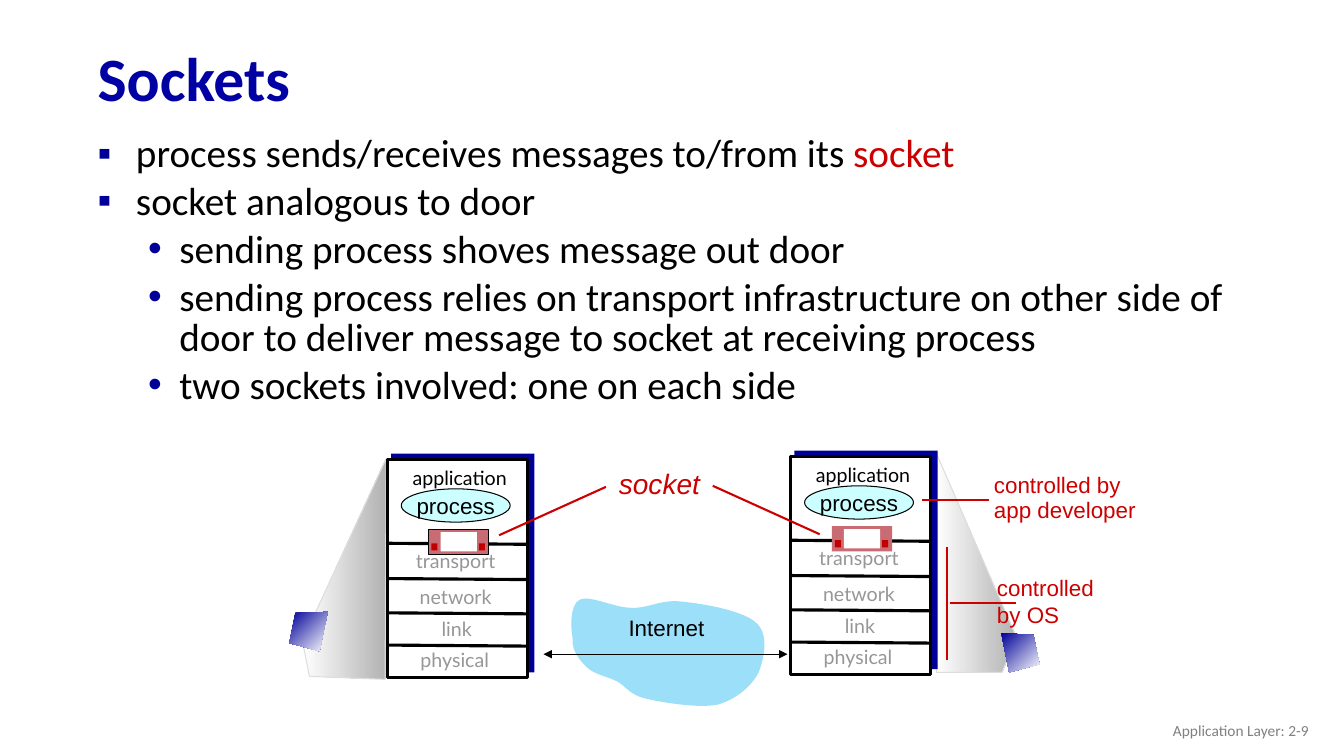
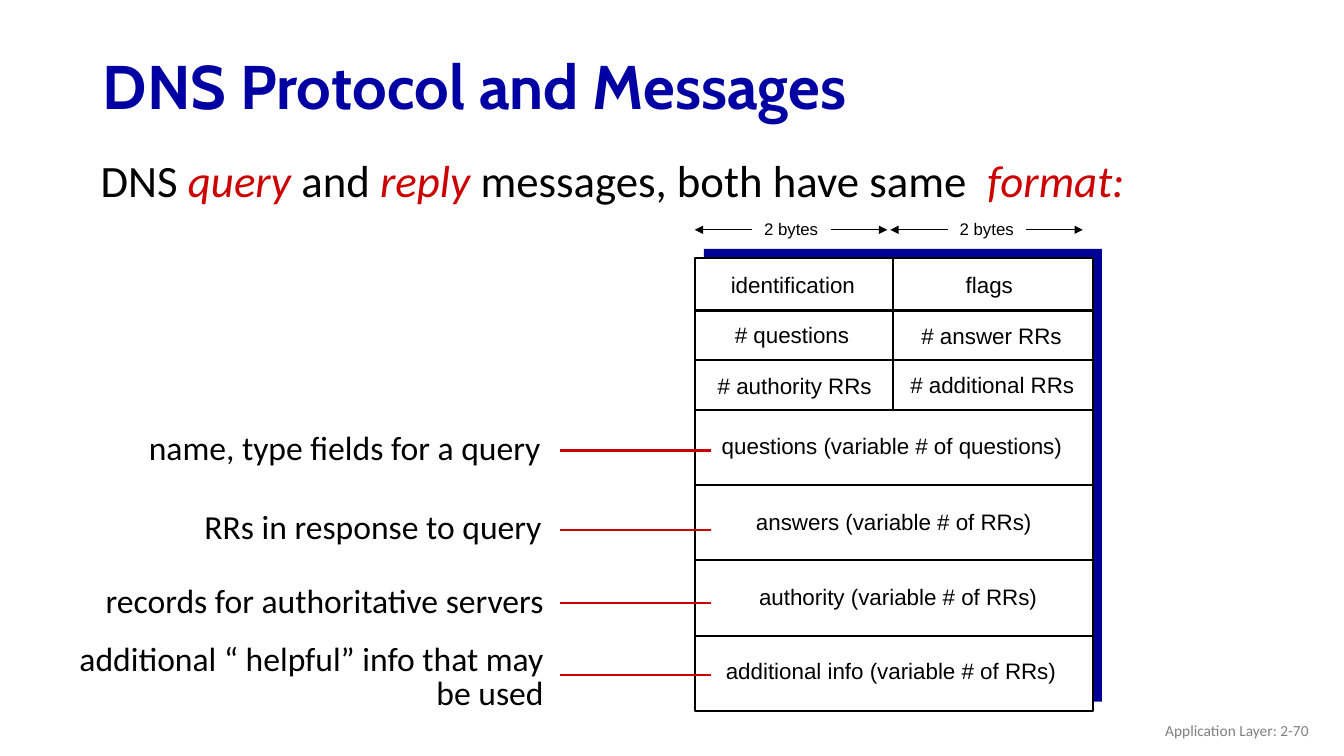
import dataclasses
import typing

import lxml.etree
import pptx
import pptx.dml.color
import pptx.enum.shapes
import pptx.enum.text
import pptx.oxml.ns
import pptx.util

Inches, Pt = pptx.util.Inches, pptx.util.Pt
ALIGN = pptx.enum.text.PP_ALIGN
ANCHOR = pptx.enum.text.MSO_ANCHOR
SHAPE = pptx.enum.shapes.MSO_SHAPE
qn = pptx.oxml.ns.qn

TITLE_BLUE, NAVY, RED = "0000A3", "000099", "CC0000"
BLACK, WHITE, GRAY, LAYER_GRAY = "000000", "FFFFFF", "808080", "969696"

Point = tuple[float, float]
Box = tuple[float, float, float, float]


@dataclasses.dataclass
class Run:
    text: str
    color: str | None = None
    italic: bool = False


@dataclasses.dataclass
class Host:
    x: float
    y: float
    socket_line: str | None


@dataclasses.dataclass
class Layer:
    name: str
    dx: float
    dy: float
    color: str = LAYER_GRAY


@dataclasses.dataclass
class Field:
    text: str
    x: float
    y: float
    width: float


@dataclasses.dataclass
class Note:
    text: str
    box: Box
    line_y: float


LAYERS = [
    Layer("application", 0, -0.01, BLACK),
    Layer("transport", -0.04, 0.81),
    Layer("network", -0.04, 1.17),
    Layer("link", -0.03, 1.49),
    Layer("physical", -0.05, 1.8),
]
LAYER_TOPS = [0.83, 1.18, 1.52, 1.84]

HOSTS = [Host(3.84, 4.56, BLACK), Host(7.84, 4.53, None)]

BULLETS = [
    (0, ["process sends/receives messages to/from its ", Run("socket", RED)]),
    (0, "socket analogous to door"),
    (1, "sending process shoves message out door"),
    (1, "sending process relies on transport infrastructure on other side of "
        "door to deliver message to socket at receiving process"),
    (1, "two sockets involved: one on each side"),
]

# The start, then two control points and an end point for each curve.
CLOUD = [
    (5.68, 6.34),
    (5.66, 6.23), (5.65, 6.0), (5.75, 5.95),
    (5.85, 5.9), (6.09, 6.03), (6.26, 6.03),
    (6.43, 6.04), (6.56, 5.94), (6.77, 5.97),
    (6.98, 5.99), (7.38, 6.06), (7.5, 6.18),
    (7.63, 6.29), (7.58, 6.54), (7.52, 6.68),
    (7.45, 6.81), (7.3, 6.94), (7.12, 6.99),
    (6.93, 7.03), (6.57, 6.97), (6.4, 6.93),
    (6.24, 6.89), (6.21, 6.81), (6.12, 6.76),
    (6.02, 6.71), (5.89, 6.69), (5.82, 6.62),
    (5.75, 6.55), (5.67, 6.46), (5.68, 6.34),
]

FIELD_TOPS = [3.08, 3.57, 4.07, 4.81, 5.56, 6.31]
FIELDS = [
    Field("identification", 7.15, 2.64, 1.43),
    Field("flags", 9.48, 2.64, 0.67),
    Field("# questions", 7.19, 3.14, 1.34),
    Field("# answer RRs", 9.04, 3.15, 1.6),
    Field("# authority RRs", 7.02, 3.64, 1.73),
    Field("# additional RRs", 8.93, 3.63, 1.83),
    Field("questions (variable # of questions)", 7.06, 4.24, 3.59),
    Field("answers (variable # of RRs)", 7.4, 4.99, 2.94),
    Field("authority (variable # of RRs)", 7.43, 5.74, 2.97),
    Field("additional info (variable # of RRs)", 7.1, 6.47, 3.48),
]

NOTES = [
    Note("name, type fields for a query", (1.12, 4.24, 4.34, 0.45), 4.47),
    Note("RRs in response to query", (1.09, 5.03, 4.38, 0.45), 5.26),
    Note("records for authoritative servers", (0.24, 5.76, 5.25, 0.45), 5.98),
    Note("additional “ helpful” info that may be used", (0.44, 6.33, 5.05, 0.79), 6.7),
]


def rgb(color: str) -> pptx.dml.color.RGBColor:
    return pptx.dml.color.RGBColor.from_string(color)


def write(tf, *paras, size: float, font: str = "Calibri", color: str = BLACK,
          bold: bool = False, italic: bool = False, align=ALIGN.LEFT,
          spacing: float = 1.0, before: float = 0, anchor=ANCHOR.TOP, wrap: bool = True):
    """Fill a text frame; a paragraph is a string or a list of strings and Runs."""
    tf.word_wrap, tf.vertical_anchor = wrap, anchor
    for i, para in enumerate(paras):
        p = tf.add_paragraph() if i else tf.paragraphs[0]
        p.alignment, p.line_spacing, p.space_before = align, spacing, Pt(before)
        for part in [para] if isinstance(para, str) else para:
            run = Run(part) if isinstance(part, str) else part
            r = p.add_run()
            r.text = run.text
            r.font.name, r.font.size, r.font.bold = font, Pt(size), bold
            r.font.italic = italic or run.italic
            r.font.color.rgb = rgb(run.color or color)
    return tf


def add_text(sl, box: Box, *paras, **fmt):
    return write(sl.shapes.add_textbox(*map(Inches, box)).text_frame, *paras, **fmt)


def add_bullet(p, level: int) -> None:
    p.level = level
    pPr = p._p.get_or_add_pPr()
    left, hang = [(0.38, 0.38), (0.81, 0.31)][level]
    pPr.set("marL", str(Inches(left)))
    pPr.set("indent", str(-Inches(hang)))
    clr = lxml.etree.SubElement(pPr, qn("a:buClr"))
    lxml.etree.SubElement(clr, qn("a:srgbClr"), val=NAVY)
    lxml.etree.SubElement(pPr, qn("a:buFont"), typeface="Arial")
    lxml.etree.SubElement(pPr, qn("a:buChar"), char="▪•"[level])


def outline(s, color: str | None, width: float) -> None:
    if color:
        s.line.color.rgb, s.line.width = rgb(color), Pt(width)
    else:
        s.line.fill.background()


def add_shape(sl, box: Box, fill: str, line: str | None = None, width: float = 0.75,
              kind=SHAPE.RECTANGLE):
    s = sl.shapes.add_shape(kind, *map(Inches, box))
    s.shadow.inherit = False
    s.fill.solid()
    s.fill.fore_color.rgb = rgb(fill)
    outline(s, line, width)
    return s


def add_outline(sl, points: typing.Sequence[Point], fill: str, fill_end: str | None = None,
                angle: float = 0, line: str | None = None):
    """Draw a closed polygon, with a gradient when fill_end is given."""
    start, *rest = [(Inches(x), Inches(y)) for x, y in points]
    s = sl.shapes.build_freeform(*start).add_line_segments(rest).convert_to_shape()
    s.shadow.inherit = False
    if fill_end:
        s.fill.gradient()
        s.fill.gradient_angle = angle
        for stop, color, position in zip(s.fill.gradient_stops, (fill, fill_end), (0, 1)):
            stop.color.rgb, stop.position = rgb(color), position
    else:
        s.fill.solid()
        s.fill.fore_color.rgb = rgb(fill)
    outline(s, line, 0.75)
    return s


def bend_segments(s) -> None:
    """Turn each three line segments of a freeform into one cubic curve."""
    segments = list(s._element.iter(qn("a:lnTo")))
    for i in range(0, len(segments) - 2, 3):
        curve = lxml.etree.Element(qn("a:cubicBezTo"))
        segments[i].addprevious(curve)
        for segment in segments[i:i + 3]:
            curve.append(segment[0])
            segment.getparent().remove(segment)


def add_line(sl, start: Point, end: Point, color: str = RED, width: float = 1.5,
             arrows: typing.Sequence[str] = ()) -> None:
    """Draw a straight line; arrows lists headEnd and/or tailEnd."""
    c = sl.shapes.add_connector(pptx.enum.shapes.MSO_CONNECTOR.STRAIGHT,
                                *map(Inches, (*start, *end)))
    outline(c, color, width)
    spPr = c._element.spPr
    for arrow in arrows:
        lxml.etree.SubElement(spPr.find(qn("a:ln")), qn(f"a:{arrow}"), type="triangle")
    lxml.etree.SubElement(spPr, qn("a:effectLst"))


def add_slide(prs, title: str, number: int, title_at: Point, font: str):
    sl = prs.slides.add_slide(prs.slide_layouts[6])
    add_text(sl, (*title_at, 11.5, 0.98), title, size=44, font=font, color=TITLE_BLUE,
             bold=True, spacing=0.9, anchor=ANCHOR.MIDDLE)
    add_text(sl, (10.08, 7.05, 3, 0.4), f"Application Layer: 2-{number}", size=11,
             color=GRAY, align=ALIGN.RIGHT, anchor=ANCHOR.MIDDLE)
    return sl


def draw_host(sl, host: Host) -> None:
    x, y = host.x, host.y
    add_shape(sl, (x + 0.04, y - 0.06, 1.42, 2.17), NAVY)
    add_shape(sl, (x, y, 1.39, 2.16), WHITE, BLACK, 2.25)
    for dy in LAYER_TOPS:
        add_line(sl, (x + 0.01, y + dy), (x + 1.39, y + dy + 0.01), BLACK, 2.25)
    for layer in LAYERS:
        add_text(sl, (x + layer.dx, y + layer.dy, 1.44, 0.36), layer.name, size=14,
                 font="Lato", color=layer.color, align=ALIGN.CENTER, spacing=1.1)
    s = add_shape(sl, (x + 0.14, y + 0.29, 1.08, 0.33), "CCFFFF", BLACK, kind=SHAPE.OVAL)
    write(s.text_frame, "process", size=16, font="Arial", align=ALIGN.CENTER,
          anchor=ANCHOR.MIDDLE, wrap=False)
    add_shape(sl, (x + 0.41, y + 0.69, 0.6, 0.25), "C96B72", host.socket_line)
    add_shape(sl, (x + 0.53, y + 0.72, 0.36, 0.19), WHITE)
    for dx in (0.44, 0.91):
        add_shape(sl, (x + dx, y + 0.83, 0.06, 0.07), "C00000")


def sockets_slide(prs) -> None:
    sl = add_slide(prs, "Sockets", 9, (0.87, 0.32), "Calibri")
    tf = add_text(sl, (0.87, 1.3, 11.99, 2.55), *(text for _, text in BULLETS),
                  size=28, spacing=0.85, before=5.6)
    for p, (level, _) in zip(tf.paragraphs, BULLETS):
        add_bullet(p, level)

    for beam in ([(10.08, 6.32), (9.28, 4.48), (9.29, 6.67), (9.94, 6.67)],
                 [(3, 6.36), (3.83, 4.55), (3.82, 6.74), (3.07, 6.71)]):
        add_outline(sl, beam, WHITE, "B2B2B2", line="DDDDDD")
    bend_segments(add_outline(sl, CLOUD, "9CDFF9"))
    add_text(sl, (6.13, 6.04, 0.96, 0.37), "Internet", size=16, font="Arial",
             align=ALIGN.CENTER, wrap=False)
    add_line(sl, (5.39, 6.49), (7.81, 6.49), BLACK, 0.75, ("headEnd", "tailEnd"))
    for host in HOSTS:
        draw_host(sl, host)

    label = dict(font="Arial", color=RED, wrap=False)
    add_text(sl, (9.79, 5.65, 1.16, 0.9), "controlled", "by OS", size=16, **label)
    add_text(sl, (9.76, 4.66, 1.61, 0.58), "controlled by", "app developer", size=16,
             spacing=0.9, **label)
    add_text(sl, (6.04, 4.62, 1.1, 0.4), "socket", size=20, italic=True, spacing=0.9, **label)
    for start, end in [((9.81, 4.96), (9.14, 4.96)), ((9.39, 5.43), (9.39, 6.55)),
                       ((10.08, 5.98), (9.42, 5.98)), ((4.95, 5.31), (6.01, 4.83)),
                       ((8.13, 5.3), (7.07, 4.82))]:
        add_line(sl, start, end)
    for device in ([(3.25, 6.07), (2.93, 6.08), (2.87, 6.38), (3.17, 6.46)],
                   [(9.93, 6.28), (10.25, 6.3), (10.31, 6.59), (10.01, 6.67)]):
        add_outline(sl, device, NAVY, WHITE, angle=315)


def draw_message(sl, x: float, y: float, w: float, h: float) -> None:
    add_shape(sl, (x + 0.09, y - 0.09, w, h), NAVY)
    add_shape(sl, (x, y, w, h), WHITE, BLACK, 1.5)
    for top in FIELD_TOPS:
        add_line(sl, (x - 0.01, top), (x + w, top), BLACK)
    add_line(sl, (x + 1.97, y), (x + 1.97, FIELD_TOPS[2]), BLACK)
    for field in FIELDS:
        add_text(sl, (field.x, field.y, field.width, 0.37), field.text, size=16,
                 font="Arial", wrap=False)


def dns_slide(prs) -> None:
    sl = add_slide(prs, "DNS Protocol and Messages", 70, (0.92, 0.4), "Cabin")
    add_text(sl, (0.9, 1.53, 11.23, 0.56),
             ["DNS ", Run("query ", RED, True), "and ", Run("reply", RED, True),
              " messages, both have same  ", Run("format:", RED, True)],
             size=32, spacing=0.9, before=10)
    draw_message(sl, 6.89, 2.56, 3.95, 4.49)
    for x in (6.89, 8.83):
        add_text(sl, (x + 0.59, 2.12, 0.74, 0.3), "2 bytes", size=12, font="Arial", wrap=False)
        for start, end in ((1.35, 1.91), (0.57, 0)):
            add_line(sl, (x + start, 2.28), (x + end, 2.28), BLACK, 0.75, ("tailEnd",))
    for note in NOTES:
        add_text(sl, note.box, note.text, size=24, align=ALIGN.RIGHT, spacing=0.85,
                 anchor=ANCHOR.MIDDLE)
        add_line(sl, (7.05, note.line_y), (5.55, note.line_y))


def main() -> None:
    prs = pptx.Presentation()
    prs.slide_width, prs.slide_height = Inches(13.33), Inches(7.5)
    sockets_slide(prs)
    dns_slide(prs)
    prs.save("out.pptx")


if __name__ == "__main__":
    main()
